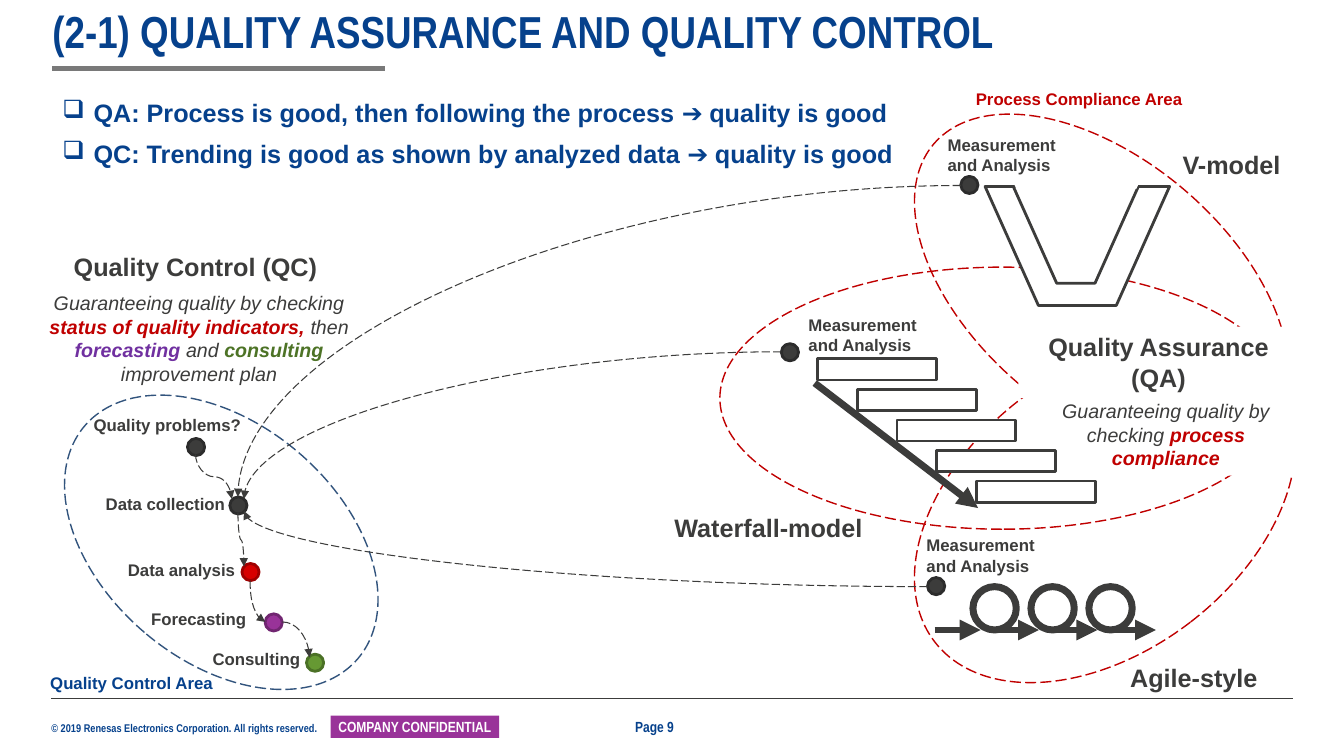
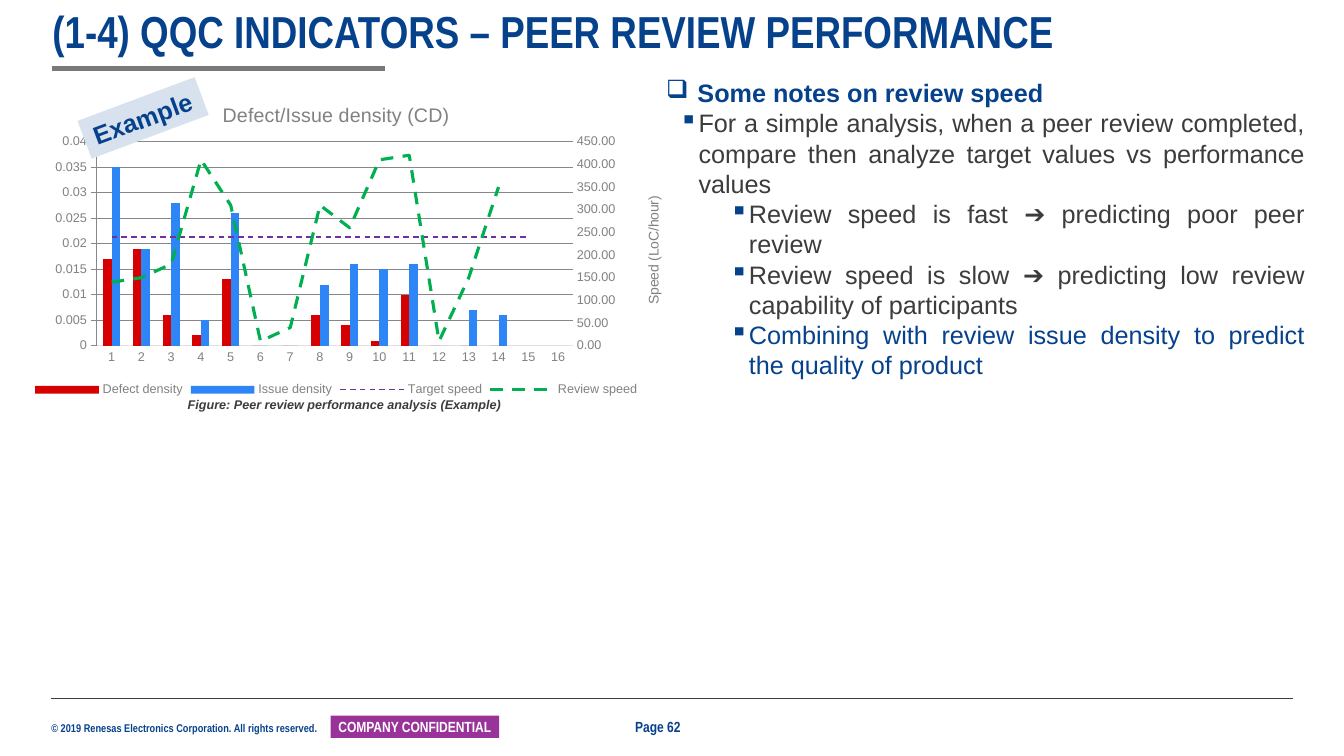
"""Build two slides on quality assurance, quality control and peer review performance."""
import copy

from lxml import etree
from pptx import Presentation
from pptx import util as u
from pptx.chart import axis as axes, data
from pptx.dml import color
from pptx.enum import chart as charts, dml, shapes, text
from pptx.oxml import ns


class theme:
    body, narrow = "Arial", "Arial Narrow"
    blue, navy, pale, sky = "06418C", "32547D", "D8E2EF", "2E86F6"
    ink, edge, grey, muted, mist, white = "3C3C3B", "2C2C2C", "797979", "81817F", "E2E2E1", "FFFFFF"
    crimson, red, dark_red = "C00000", "D70000", "9F0000"
    purple, dark_purple, violet = "993399", "712671", "7030A0"
    green, dark_green, moss, emerald = "669933", "4B7126", "4D7326", "00B050"
    title, heading, prose, label = 32, 18, 14, 12
    footer, axis, small, legal = 10.5, 10, 9, 8


deck = Presentation()
deck.slide_width, deck.slide_height = u.Inches(13.33), u.Inches(7.5)
CELL = deck.slide_height / 75
KIND = shapes.MSO_SHAPE
CENTER, LEFT = text.PP_ALIGN.CENTER, text.PP_ALIGN.LEFT


def draw(page, kind, at, fill=None, line=None, width=1, dash=False, turn=0, spans=(),
         size=theme.label, font=theme.body, align=LEFT, wrap=True, inset=(1, 0.5)):
    """Place a shape, or a text box when kind is None; at is in grid cells."""
    place = [round(value * CELL) for value in at]
    box = page.shapes.add_shape(kind, *place) if kind else page.shapes.add_textbox(*place)
    box.rotation = turn
    if kind:
        box.shadow.inherit = False
    if fill:
        box.fill.solid()
        box.fill.fore_color.rgb = color.RGBColor.from_string(fill)
    else:
        box.fill.background()
    if line:
        box.line.color.rgb = color.RGBColor.from_string(line)
        box.line.width = u.Pt(width)
        if dash:
            box.line.dash_style = dml.MSO_LINE.LONG_DASH
    else:
        box.line.fill.background()
    frame = box.text_frame
    frame.word_wrap = wrap
    frame.vertical_anchor = text.MSO_ANCHOR.TOP if inset[1] else text.MSO_ANCHOR.MIDDLE
    frame.margin_left = frame.margin_right = round(inset[0] * CELL)
    frame.margin_top = frame.margin_bottom = round(inset[1] * CELL)
    if not kind:
        frame.auto_size = text.MSO_AUTO_SIZE.SHAPE_TO_FIT_TEXT
    para = frame.paragraphs[0]
    para.alignment = align
    for words, tone, style in spans:
        span = para.add_run()
        span.text = words
        span.font.name, span.font.size = font, u.Pt(size)
        span.font.bold, span.font.italic = "b" in style, "i" in style
        span.font.color.rgb = color.RGBColor.from_string(tone)
    return box


def link(page, begin, end, tone=theme.ink, width=0.75, curve=None, upright=False, arrow=True):
    """Join two grid points; upright curves leave their start vertically."""
    (x1, y1), (x2, y2) = begin, end
    if upright:
        mid_x, mid_y, half_x, half_y = (x1 + x2) / 2, (y1 + y2) / 2, (x2 - x1) / 2, (y2 - y1) / 2
        x1, y1, x2, y2 = mid_x - half_y, mid_y - half_x, mid_x + half_y, mid_y + half_x
    kind = shapes.MSO_CONNECTOR.CURVE if curve else shapes.MSO_CONNECTOR.STRAIGHT
    line = page.shapes.add_connector(kind, *[round(value * CELL) for value in (x1, y1, x2, y2)])
    line.line.color.rgb = color.RGBColor.from_string(tone)
    line.line.width = u.Pt(width)
    properties = line._element.spPr
    if curve:
        line.line.dash_style = dml.MSO_LINE.LONG_DASH
        properties.find(ns.qn("a:prstGeom")).set("prst", f"curvedConnector{curve}")
    if upright:
        frame = properties.find(ns.qn("a:xfrm"))
        frame.set("rot", str(270 * 60000))
        frame.set("flipH", "1")
    if arrow:
        etree.SubElement(properties.find(ns.qn("a:ln")), ns.qn("a:tailEnd"), type="triangle")
    etree.SubElement(properties, ns.qn("a:effectLst"))


pages = []
for heading, number in (("(2-1) QUALITY ASSURANCE AND QUALITY CONTROL", 9),
                        ("(1-4) QQC INDICATORS – PEER REVIEW PERFORMANCE", 62)):
    page = deck.slides.add_slide(deck.slide_layouts[5])
    pages.append(page)
    title = page.shapes.title
    title.left, title.top, title.width, title.height = [round(v * CELL) for v in (5.2, 1, 123.6, 4.8)]
    frame = title.text_frame
    frame.text = heading
    frame.word_wrap, frame.auto_size = True, text.MSO_AUTO_SIZE.NONE
    frame.vertical_anchor = text.MSO_ANCHOR.BOTTOM
    frame.margin_left = frame.margin_right = frame.margin_top = frame.margin_bottom = 0
    para = frame.paragraphs[0]
    para.alignment, para.line_spacing = LEFT, 0.9
    font = para.runs[0].font
    font.name, font.size, font.bold = theme.narrow, u.Pt(theme.title), True
    font.color.rgb = color.RGBColor.from_string(theme.blue)
    link(page, (5.2, 6.8), (38.2, 6.8), theme.grey, 3, arrow=False)
    link(page, (5.1, 69.3), (128.2, 69.3), theme.ink, 0.5, arrow=False)
    draw(page, None, (5.1, 71.6, 26.8, 1.3), size=theme.legal, font=theme.narrow, wrap=False, inset=(0, 0),
         spans=[("© 2019 Renesas Electronics Corporation. All rights reserved.", theme.blue, "b")])
    draw(page, KIND.RECTANGLE, (32.8, 71, 16.7, 2.2), theme.purple, size=theme.footer, font=theme.narrow,
         align=CENTER, inset=(0.4, 0), spans=[("COMPANY CONFIDENTIAL", theme.white, "b")])
    draw(page, None, (63, 71.2, 7.3, 1.8), size=theme.footer, font=theme.narrow, inset=(0, 0),
         spans=[(f"Page {number}", theme.blue, "b")])
models, review = pages

for at, turn, tone in (((96.6, 6.6, 25.3, 43.7), 310.4, theme.crimson),
                       ((95.7, 29.4, 27.8, 42.6), 232.5, theme.crimson),
                       ((86.4, 11.5, 26, 56), 270, theme.crimson),
                       ((10.2, 36, 23.5, 35.6), 310.4, theme.navy)):
    draw(models, KIND.OVAL, at, line=tone, dash=True, turn=turn)
for at, line in (((97.7, 18.5, 18.3, 11.8), theme.ink), ((100.5, 18.5, 12.4, 9.6), theme.ink),
                 ((100.6, 18.3, 12.3, 0.4), None)):
    leg = draw(models, KIND.TRAPEZOID, at, theme.white, line, 2, turn=180)
    leg.adjustments[0] = 0.448
for sprint in range(3):
    draw(models, KIND.OVAL, (96.5 + 5.75 * sprint, 58.2, 4.3, 4.3), theme.white, theme.ink, 5)
for sprint in range(4):
    start = 92.7 + 5.8 * sprint
    link(models, (start, 62.5), (start + 4.55, 62.5), width=5)

for at, size, spans in (
        ((102.1, 39.1, 27.1, 8.1), theme.prose,
         [("Guaranteeing quality by checking ", theme.ink, "i"), ("process compliance", theme.crimson, "bi")]),
        ((101, 32.4, 27.8, 7.1), theme.heading, [("Quality Assurance (QA)", theme.ink, "b")]),
        ((3.4, 28.4, 32.7, 10.4), theme.prose,
         [("Guaranteeing quality by checking ", theme.ink, "i"),
          ("status of quality indicators, ", theme.crimson, "bi"), ("then ", theme.ink, "i"),
          ("forecasting ", theme.violet, "bi"), ("and ", theme.ink, "i"),
          ("consulting ", theme.moss, "bi"), ("improvement plan", theme.ink, "i")]),
        ((4.1, 24.4, 30.6, 4), theme.heading, [("Quality Control (QC)", theme.ink, "b")])):
    draw(models, KIND.RECTANGLE, at, theme.white, spans=spans, size=size, align=CENTER)
for size, tone, labels in (
        (theme.heading, theme.ink, (("V-model", 116.3, 14.3, 11.8), ("Waterfall-model", 65.9, 50.3, 20.9),
                                    ("Agile-style", 111.1, 65.2, 14.8))),
        (theme.label, theme.crimson, (("Process Compliance Area", 95.8, 8.3, 22.7),)),
        (theme.label, theme.blue, (("Quality Control Area", 4, 66.2, 18.3),)),
        (theme.label, theme.ink, (("Quality problems?", 8.3, 40.7, 16.8), ("Data collection", 9.5, 48.5, 14),
                                  ("Data analysis", 11.7, 55, 12.7), ("Forecasting", 14, 59.9, 11.6),
                                  ("Consulting", 20.1, 63.9, 10.8)))):
    for words, left, top, width in labels:
        draw(models, None, (left, top, width, size / 6 + 1), spans=[(words, tone, "b")], size=size, wrap=False)
for left, top in ((93, 12.9), (79.2, 30.7), (90.9, 52.6)):
    draw(models, None, (left, top, 13.5, 5), spans=[("Measurement and Analysis", theme.ink, "b")])

for fill, edge, spots in (
        (theme.ink, theme.edge, ((95.3, 17.5), (77.5, 34.1), (92, 57.3), (18.6, 43.5), (22.8, 49.3))),
        (theme.red, theme.dark_red, ((24, 55.9),)), (theme.purple, theme.dark_purple, ((26.3, 60.9),)),
        (theme.green, theme.dark_green, ((30.4, 64.9),))):
    for left, top in spots:
        draw(models, KIND.OVAL, (left, top, 1.7, 1.7), fill, edge, 2)
for begin, end, curve, upright in (
        ((95.3, 18.4), (23.6, 49.3), 2, False), ((77.5, 34.9), (24.2, 49.5), 2, False),
        ((92, 58.2), (24.2, 50.7), 2, False), ((19.4, 45.1), (23, 49.5), 3, True),
        ((23.6, 50.9), (24.2, 56.2), 3, True), ((24.8, 57.6), (26.3, 61.7), 2, True),
        ((28, 61.7), (30.7, 65.2), 2, False)):
    link(models, begin, end, curve=curve, upright=upright)
link(models, (80.8, 38), (97, 50.4), width=5)
for phase in range(5):
    draw(models, KIND.RECTANGLE, (81.1 + 3.93 * phase, 35.6 + 3.03 * phase, 11.8, 2.1),
         theme.white, theme.ink, 2)

figures = data.CategoryChartData()
figures.categories = [str(number) for number in range(1, 17)]
for name, values in (
        ("Defect density", [0.017, 0.019, 0.006, 0.002, 0.013, 0, 0, 0.006, 0.004, 0.001, 0.01, 0, 0, 0]),
        ("Issue density", [0.035, 0.019, 0.028, 0.005, 0.026, 0, 0, 0.012, 0.016, 0.015, 0.016, 0, 0.007, 0.006]),
        ("Target speed", [240] * 15),
        ("Review speed", [140, 150, 180, 410, 310, 10, 40, 310, 260, 410, 420, 10, 150, 350])):
    figures.add_series(name, values + [None] * (16 - len(values)))
place = [round(value * CELL) for value in (-0.1, 8.6, 66.9, 31.2)]
chart = review.shapes.add_chart(charts.XL_CHART_TYPE.COLUMN_CLUSTERED, *place, figures).chart
chart.font.name, chart.font.size = theme.body, u.Pt(theme.small)
chart.font.color.rgb = color.RGBColor.from_string(theme.muted)
chart.has_legend = chart.has_title = True
chart.legend.position = charts.XL_LEGEND_POSITION.BOTTOM
chart.legend.include_in_layout = False
chart.chart_title.text_frame.text = "Defect/Issue density (CD)"
chart_titles = [(chart.chart_title, theme.prose)]
columns = chart.plots[0]
columns.vary_by_categories, columns.gap_width, columns.overlap = False, 150, 0
chart.category_axis.major_tick_mark = charts.XL_TICK_MARK.NONE
chart.category_axis.format.line.color.rgb = color.RGBColor.from_string(theme.mist)

bars = columns._element
plot_area = bars.getparent()
lines = etree.SubElement(plot_area, ns.qn("c:lineChart"))
bars.addnext(lines)
etree.SubElement(lines, ns.qn("c:grouping"), val="standard")
etree.SubElement(lines, ns.qn("c:varyColors"), val="0")
for series in bars.findall(ns.qn("c:ser"))[2:]:
    for flag in series.findall(ns.qn("c:invertIfNegative")):
        series.remove(flag)
    lines.append(series)
for tag, value in (("marker", "1"), ("axId", "1001"), ("axId", "1002")):
    etree.SubElement(lines, ns.qn(f"c:{tag}"), val=value)
right_value = copy.deepcopy(chart.value_axis._element)
right_category = copy.deepcopy(chart.category_axis._element)
for element, settings in ((right_value, {"axId": "1002", "crossAx": "1001", "crosses": "max", "axPos": "r"}),
                          (right_category, {"axId": "1001", "crossAx": "1002", "delete": "1"})):
    plot_area.append(element)
    for tag, value in settings.items():
        element.find(ns.qn(f"c:{tag}")).set("val", value)

layouts = [(plot_area, {"x": 0.145, "y": 0.175, "w": 0.706, "h": 0.649})]
for axis, words, form, top, step, left in (
        (chart.value_axis, "Density (item/LoC)", "0.0000", 0.04, 0.005, 0.035),
        (axes.ValueAxis(right_value), "Speed (LoC/hour)", "0.00", 450, 50, 0.953)):
    axis.has_major_gridlines = False
    axis.minimum_scale, axis.maximum_scale, axis.major_unit = 0, top, step
    axis.major_tick_mark = charts.XL_TICK_MARK.NONE
    axis.tick_labels.number_format, axis.tick_labels.number_format_is_linked = form, False
    axis.format.line.fill.background()
    axis.axis_title.text_frame.text = words
    chart_titles.append((axis.axis_title, theme.axis))
    layouts.append((axis.axis_title._element, {"x": left, "y": 0.34}))
for heading, size in chart_titles:
    font = heading.text_frame.paragraphs[0].runs[0].font
    font.name, font.size, font.bold = theme.body, u.Pt(size), False
    font.color.rgb = color.RGBColor.from_string(theme.muted)
for element, shares in layouts:
    layout = element.find(ns.qn("c:layout"))
    if layout is None:
        layout = etree.SubElement(element, ns.qn("c:layout"))
        element.insert(0 if element is plot_area else 1, layout)
    manual = etree.SubElement(layout, ns.qn("c:manualLayout"))
    if element is plot_area:
        etree.SubElement(manual, ns.qn("c:layoutTarget"), val="inner")
    for tag, value in [("xMode", "edge"), ("yMode", "edge"), *shares.items()]:
        etree.SubElement(manual, ns.qn(f"c:{tag}"), val=str(value))
for series, tone in zip(chart.plots[0].series, (theme.red, theme.sky)):
    series.format.fill.solid()
    series.format.fill.fore_color.rgb = color.RGBColor.from_string(tone)
for series, tone, width in zip(chart.plots[1].series, (theme.violet, theme.emerald), (1, 2.25)):
    series.smooth, series.marker.style = False, charts.XL_MARKER_STYLE.NONE
    series.format.line.color.rgb = color.RGBColor.from_string(tone)
    series.format.line.width, series.format.line.dash_style = u.Pt(width), dml.MSO_LINE.DASH

draw(review, KIND.RECTANGLE, (8, 9.7, 12.4, 4), theme.pale, turn=339.5, size=theme.heading, wrap=False,
     spans=[("Example", theme.blue, "b")])
draw(review, None, (12.3, 38.9, 43.7, 2.5), size=theme.small, align=CENTER,
     spans=[("Figure: Peer review performance analysis (Example)", theme.ink, "bi")])
levels = (("❑", 3.1, 3.1), ("▪", 3.2, 1.9), ("▪", 8.2, 1.9))
for page, at, items in (
        (models, (5.2, 9.2, 123.6, 4),
         [(0, "QA: Process is good, then following the process ➔ quality is good", theme.blue)]),
        (models, (5.2, 13.2, 123.6, 4),
         [(0, "QC: Trending is good as shown by analyzed data ➔ quality is good", theme.blue)]),
        (review, (65.1, 7.2, 65.3, 34.3),
         [(0, "Some notes on review speed", theme.blue),
          (1, "For a simple analysis, when a peer review completed, compare then analyze target values "
              "vs performance values", theme.ink),
          (2, "Review speed is fast ➔ predicting poor peer review", theme.ink),
          (2, "Review speed is slow ➔ predicting low review capability of participants", theme.ink),
          (2, "Combining with review issue density to predict the quality of product", theme.blue)])):
    frame = draw(page, None, at).text_frame
    frame.text = "\n".join(words for _, words, _ in items)
    for para, (level, _, tone) in zip(frame.paragraphs, items):
        glyph, indent, hang = levels[level]
        para.level, para.alignment = level, text.PP_ALIGN.JUSTIFY
        properties = para._p.get_or_add_pPr()
        properties.set("marL", str(round(indent * CELL)))
        properties.set("indent", str(round(-hang * CELL)))
        bullet_tone = etree.SubElement(properties, ns.qn("a:buClr"))
        etree.SubElement(bullet_tone, ns.qn("a:srgbClr"), val=theme.blue)
        etree.SubElement(properties, ns.qn("a:buChar"), char=glyph)
        font = para.runs[0].font
        font.name, font.size, font.bold = theme.body, u.Pt(theme.heading), level == 0
        font.color.rgb = color.RGBColor.from_string(tone)
deck.save("out.pptx")
